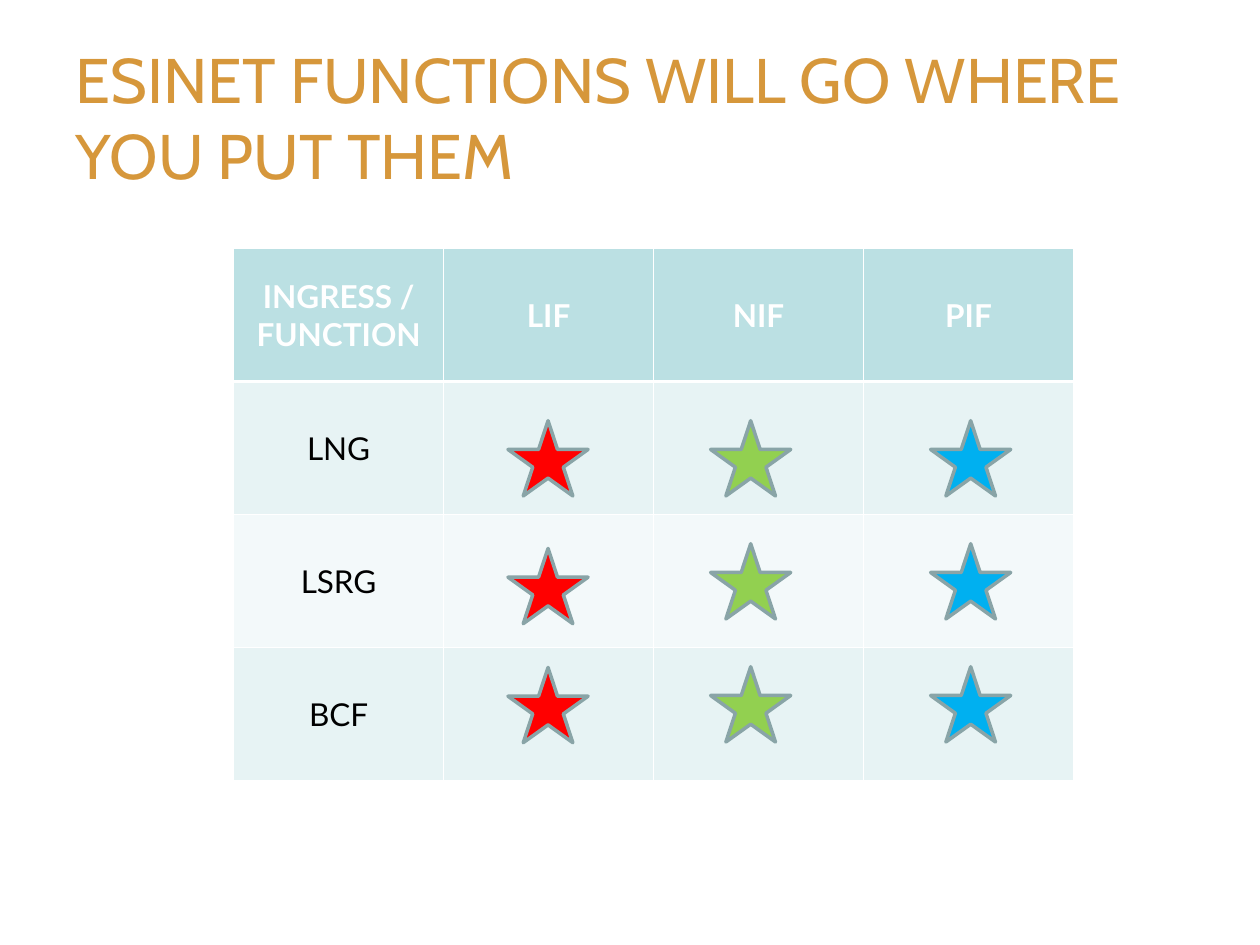
from dataclasses import dataclass

from lxml import etree
from pptx import Presentation
from pptx.dml.color import RGBColor
from pptx.enum import shapes, text
from pptx.oxml import ns
from pptx.util import Pt

ROWS = [
    ["INGRESS / FUNCTION", "LIF", "NIF", "PIF"],
    ["LNG", "", "", ""],
    ["LSRG", "", "", ""],
    ["BCF", "", "", ""],
]
ROW_FILLS = ["BBE0E3", "E7F3F4", "F3F9FA", "E7F3F4"]
TABLE_LEFT, TABLE_TOP = 133.5, 142
COLUMN_WIDTH, ROW_HEIGHT = 120, 76
STAR_WIDTH, STAR_HEIGHT = 45.8, 43


@dataclass
class StarColumn:
    """A table column of stars in one colour."""
    left: float
    tops: tuple[float, ...]
    fill: str


STAR_COLUMNS = [
    StarColumn(290.3, (240.4, 313.4, 381.4), "FF0000"),
    StarColumn(406.1, (240.4, 310.7, 381), "92D050"),
    StarColumn(531.8, (240.4, 310.7, 381), "00B0F0"),
]


def color(value: str) -> RGBColor:
    """Turn a hex string into a colour."""
    return RGBColor.from_string(value)


def write(frame, words: str, *, font: str, size: float, fill: str,
          bold: bool = False, align=text.PP_ALIGN.LEFT) -> None:
    """Write one formatted paragraph into a text frame."""
    paragraph = frame.paragraphs[0]
    paragraph.alignment = align
    run = paragraph.add_run()
    run.text = words
    run.font.name = font
    run.font.size = Pt(size)
    run.font.bold = bold
    run.font.color.rgb = color(fill)


def add_border(cell, side: str, width: float) -> None:
    """Add a white border to one side of a cell."""
    properties = cell._tc.get_or_add_tcPr()
    line = etree.SubElement(properties, ns.qn(f"a:ln{side}"), w=str(Pt(width)))
    fill = etree.SubElement(line, ns.qn("a:solidFill"))
    etree.SubElement(fill, ns.qn("a:srgbClr"), val="FFFFFF")


def add_title(slide, words: str) -> None:
    """Place and fill the title placeholder."""
    title = slide.shapes.title
    title.left, title.top, title.width, title.height = Pt(36), Pt(21.6), Pt(648), Pt(90)
    frame = title.text_frame
    frame.auto_size = text.MSO_AUTO_SIZE.NONE
    frame.vertical_anchor = text.MSO_ANCHOR.MIDDLE
    write(frame, words, font="Cabin", size=36, fill="D6973B")


def add_function_table(slide) -> None:
    """Draw the table of ingress points and functions."""
    row_count, column_count = len(ROWS), len(ROWS[0])
    table = slide.shapes.add_table(
        row_count, column_count, Pt(TABLE_LEFT), Pt(TABLE_TOP),
        Pt(COLUMN_WIDTH * column_count), Pt(ROW_HEIGHT * row_count)).table
    table.horz_banding = False
    for row_index, (words, row_fill) in enumerate(zip(ROWS, ROW_FILLS)):
        header = row_index == 0
        for column_index, word in enumerate(words):
            cell = table.cell(row_index, column_index)
            cell.vertical_anchor = text.MSO_ANCHOR.MIDDLE
            for side in "LRTB":
                thick = (row_index, side) in ((0, "B"), (1, "T"))
                add_border(cell, side, 1.47 if thick else 0.45)
            cell.fill.solid()
            cell.fill.fore_color.rgb = color(row_fill)
            if word:
                write(cell.text_frame, word, font="Lato", size=18, bold=header,
                      fill="FFFFFF" if header else "000000",
                      align=text.PP_ALIGN.CENTER)


def add_star(slide, left: float, top: float, fill: str) -> None:
    """Draw one outlined five-pointed star."""
    star = slide.shapes.add_shape(
        shapes.MSO_SHAPE.STAR_5_POINT, Pt(left), Pt(top),
        Pt(STAR_WIDTH), Pt(STAR_HEIGHT))
    star.shadow.inherit = False
    star.fill.solid()
    star.fill.fore_color.rgb = color(fill)
    star.line.color.rgb = color("89A4A7")
    star.line.width = Pt(2)
    etree.SubElement(star.line._get_or_add_ln(), ns.qn("a:round"))


def main() -> None:
    """Build and save the slide."""
    presentation = Presentation()
    presentation.slide_width, presentation.slide_height = Pt(720), Pt(540)
    slide = presentation.slides.add_slide(presentation.slide_layouts[5])
    add_title(slide, "ESINET FUNCTIONS WILL GO WHERE YOU PUT THEM")
    add_function_table(slide)
    for column in STAR_COLUMNS:
        for top in column.tops:
            add_star(slide, column.left, top, column.fill)
    presentation.save("out.pptx")


if __name__ == "__main__":
    main()
